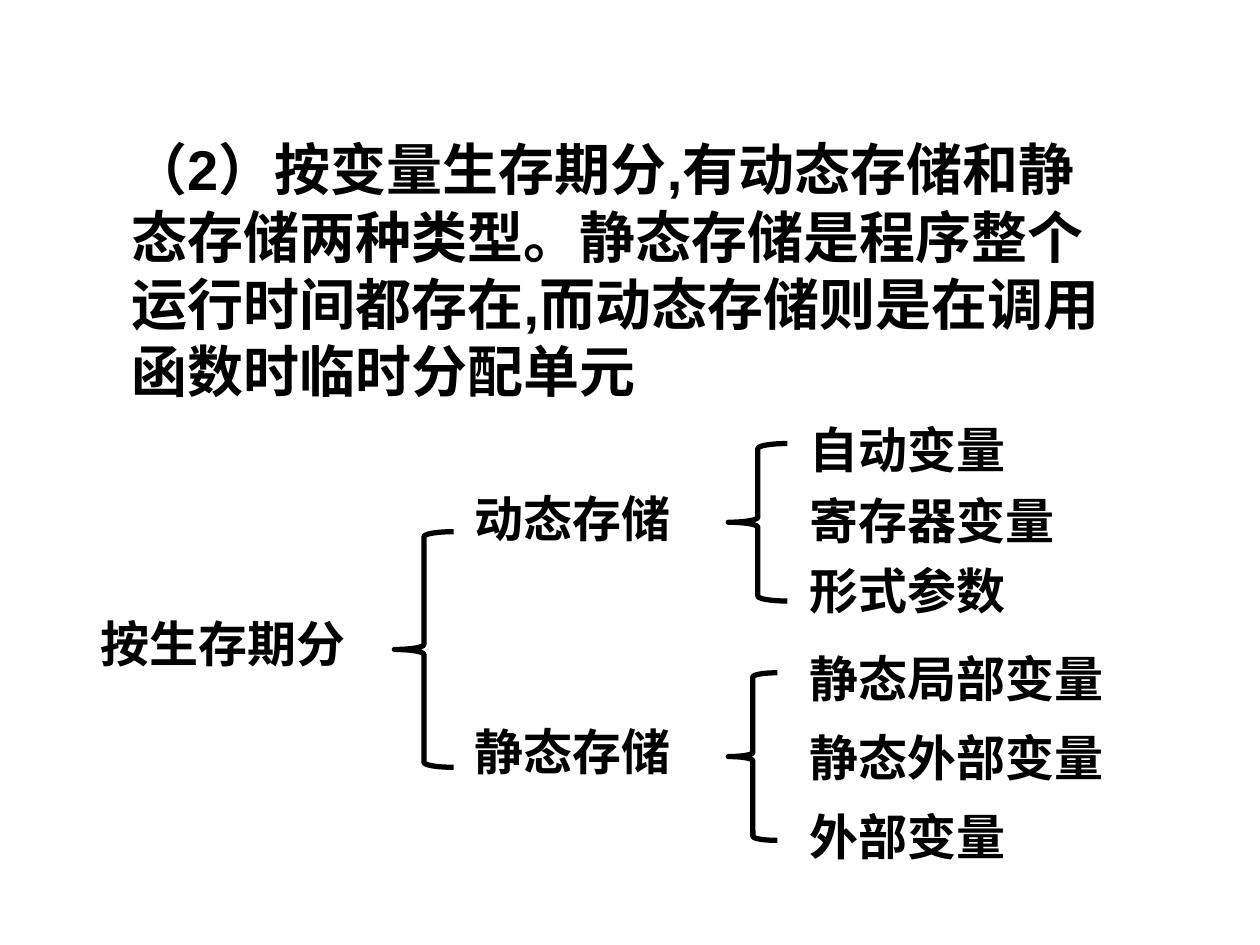
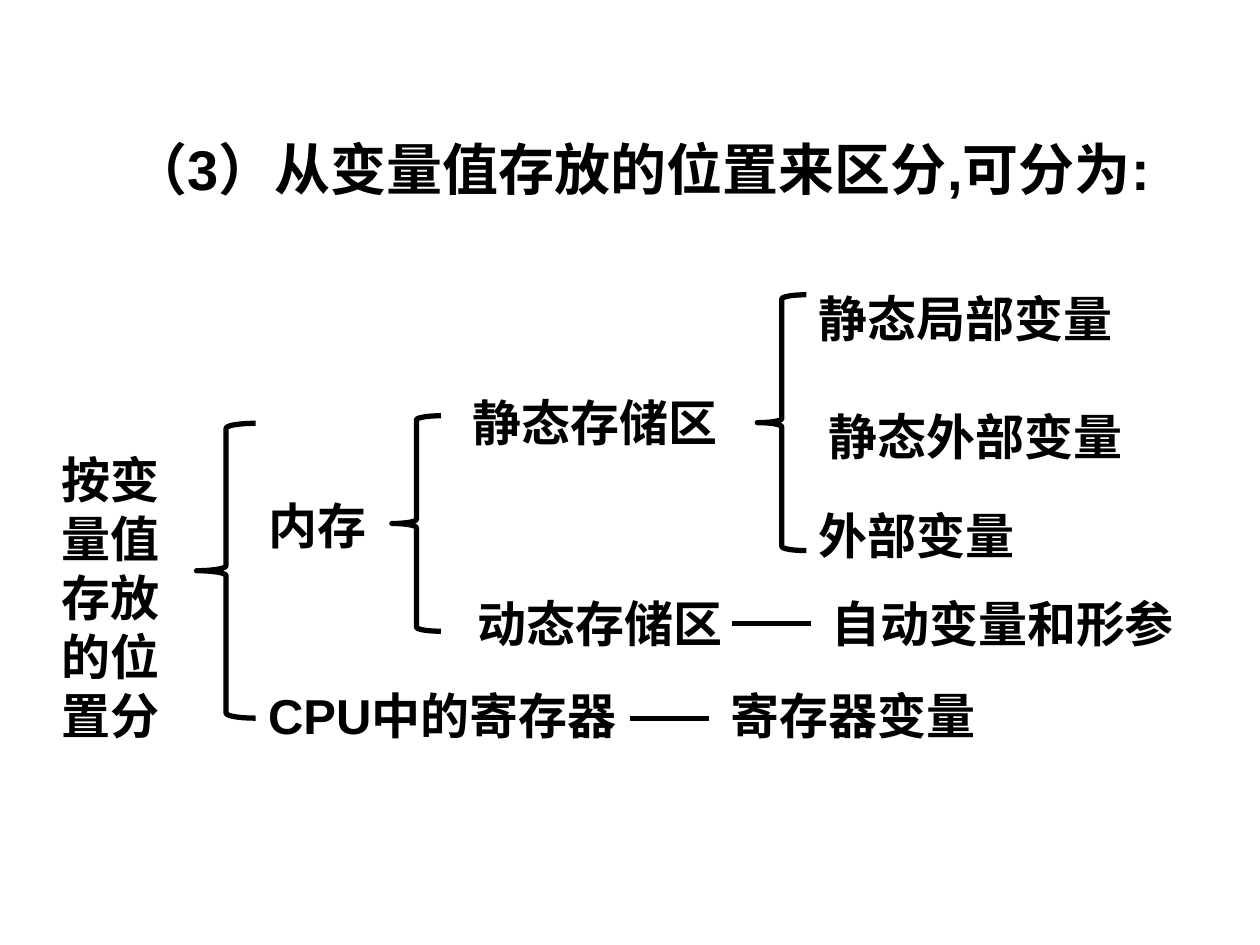
import pptx
import pptx.dml.color
import pptx.enum.shapes
import pptx.enum.text
import pptx.oxml.ns
import pptx.util
from lxml import etree

COLS, ROWS = 100, 75
FONT = "Arial"
COLORS = {"ink": "000000", "paper": "FFFFFF"}


def color(name):
    return pptx.dml.color.RGBColor.from_string(COLORS[name])


class Deck:
    """Holds the style and the current slide; lengths are grid columns and rows."""

    def __init__(self):
        self.prs = pptx.Presentation()
        self.prs.slide_width = pptx.util.Inches(10)
        self.prs.slide_height = pptx.util.Inches(7.5)
        self.slide = None

    def cell(self, col, row):
        return (round(col * self.prs.slide_width / COLS),
                round(row * self.prs.slide_height / ROWS))

    def letter(self, shape, text, size):
        """Put bold left-aligned text into a shape."""
        frame = shape.text_frame
        frame.word_wrap = True
        frame.auto_size = pptx.enum.text.MSO_AUTO_SIZE.SHAPE_TO_FIT_TEXT
        frame.vertical_anchor = pptx.enum.text.MSO_ANCHOR.TOP
        frame.text = text
        para = frame.paragraphs[0]
        para.alignment = pptx.enum.text.PP_ALIGN.LEFT
        para.font.name = FONT
        para.font.size = pptx.util.Pt(size)
        para.font.bold = True
        para.font.color.rgb = color("ink")

    def stroke(self, shape):
        shape.line.color.rgb = color("ink")
        shape.line.width = pptx.util.Pt(3)

    def page(self, title, width, height):
        self.slide = self.prs.slides.add_slide(self.prs.slide_layouts[5])
        fill = self.slide.background.fill
        fill.solid()
        fill.fore_color.rgb = color("paper")
        head = self.slide.shapes.title
        head.left, head.top = self.cell(9.4, 10.2)
        head.width, head.height = self.cell(width, height)
        self.letter(head, title, 32)

    def label(self, text, col, row, width, height=5.7):
        box = self.slide.shapes.add_textbox(
            *self.cell(col, row), *self.cell(width, height))
        self.letter(box, text, 28)

    def stack(self, texts, col, row, step, width):
        """Labels one below the other, step rows apart."""
        for i, text in enumerate(texts):
            self.label(text, col, row + i * step, width)

    def brace(self, col, row, width, height):
        shape = self.slide.shapes.add_shape(
            pptx.enum.shapes.MSO_SHAPE.LEFT_BRACE,
            *self.cell(col, row), *self.cell(width, height))
        shape.shadow.inherit = False
        shape.fill.solid()
        shape.fill.fore_color.rgb = color("paper")
        self.stroke(shape)

    def dash(self, col, row, width=6.3):
        line = self.slide.shapes.add_connector(
            pptx.enum.shapes.MSO_CONNECTOR.STRAIGHT,
            *self.cell(col, row), *self.cell(col + width, row))
        self.stroke(line)
        etree.SubElement(line._element.spPr, pptx.oxml.ns.qn("a:effectLst"))


def draw_life(deck):
    deck.page("（2）按变量生存期分,有动态存储和静态存储两种类型。"
              "静态存储是程序整个运行时间都存在,"
              "而动态存储则是在调用函数时临时分配单元", 80.5, 22.4)
    deck.label("按生存期分", 7, 48.2, 24.2)
    deck.brace(31.3, 42.2, 4.7, 18.7)
    deck.stack(["动态存储", "静态存储"], 36.7, 38.3, 18.5, 19.5)
    deck.brace(57.8, 35.2, 4.7, 12.5)
    deck.stack(["自动变量", "寄存器变量", "形式参数"], 63.3, 32.8, 5.6, 26.6)
    deck.brace(57.8, 53.4, 3.9, 13.3)
    deck.stack(["静态局部变量", "静态外部变量", "外部变量"],
               63.3, 51, 6.25, 26.6)


def draw_place(deck):
    deck.page("（3）从变量值存放的位置来区分,可分为:", 84.4, 11.7)
    deck.label("按变量值存放的位置分", 3.9, 35.2, 10.9, 24.4)
    deck.brace(15.6, 33.6, 4.7, 23.4)
    deck.label("内存", 20.3, 38.8, 10.8)
    deck.label("CPU中的寄存器", 20.3, 53.9, 33.6)
    deck.dash(50, 57)
    deck.label("寄存器变量", 57, 53.9, 26.6)
    deck.brace(31.1, 33, 3.9, 17.1)
    deck.label("静态存储区", 36.5, 30.7, 35.2)
    deck.label("动态存储区", 36.9, 46.6, 24.3)
    deck.dash(58.1, 49.5)
    deck.label("自动变量和形参", 65, 46.6, 31.2)
    deck.brace(60.1, 23.4, 3.9, 20.3)
    deck.label("静态局部变量", 64, 22.4, 28.1)
    deck.label("静态外部变量", 64.8, 31.8, 26.6)
    deck.label("外部变量", 64, 39.6, 21.9)


def main():
    deck = Deck()
    draw_life(deck)
    draw_place(deck)
    deck.prs.save("out.pptx")


if __name__ == "__main__":
    main()
